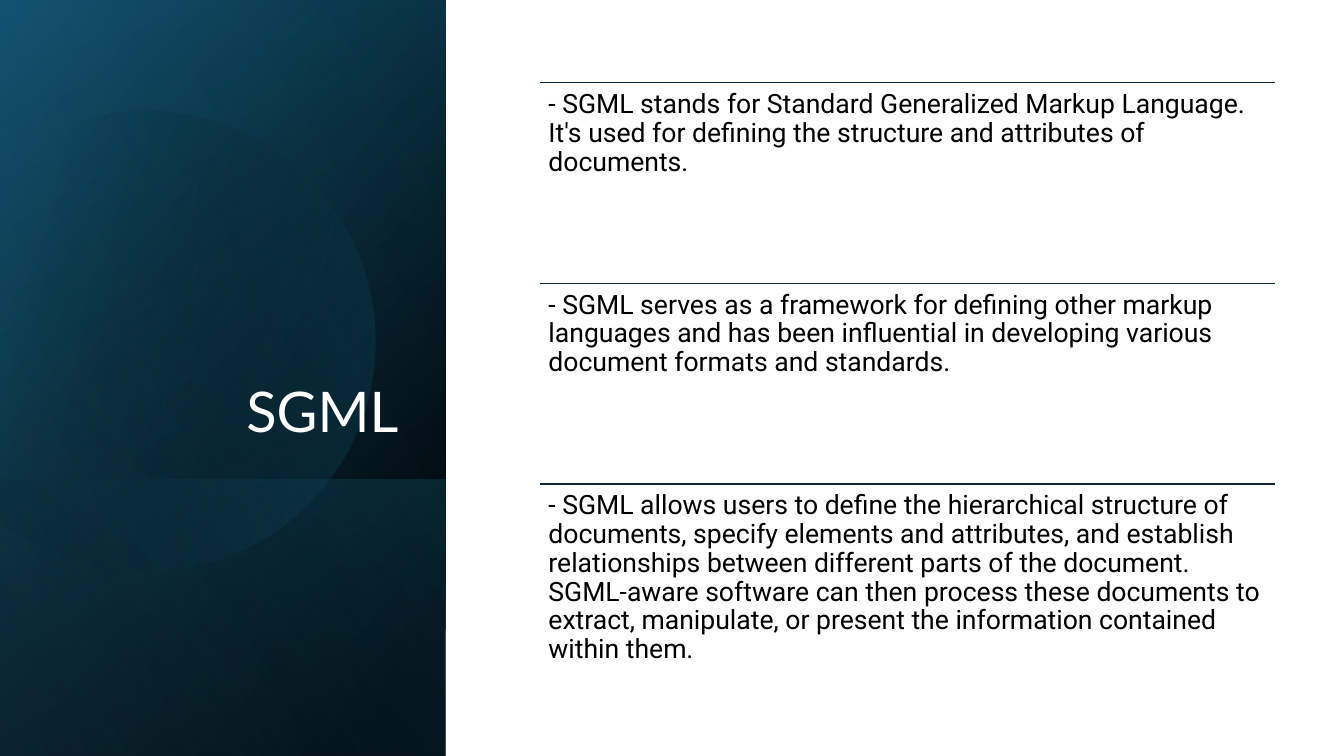
import math
from dataclasses import dataclass

from lxml import etree
from pptx import Presentation
from pptx import util as u
from pptx.dml.color import RGBColor
from pptx.enum import shapes, text
from pptx.oxml import ns

COLOURS = {
    "white": "FFFFFF",
    "black": "000000",
    "navy": "0E2841",
    "deep": "104862",
    "teal": "156082",
    "sky": "46B1E1",
}


@dataclass
class Stop:
    position: int
    colour: str
    opacity: int = 100


@dataclass
class Panel:
    left: float
    top: float
    width: float
    angle: int
    stops: list[Stop]
    height: float = 4.42


UNDER_PANELS = [
    Panel(-1.54, 1.54, 7.5, 50, [Stop(8, "black"), Stop(100, "deep")]),
    Panel(-1.54, 1.55, 7.5, 30, [Stop(0, "black", 0), Stop(99, "teal", 46)]),
    Panel(0.84, 3.92, 2.74, 130, [Stop(2, "teal", 29), Stop(100, "black", 30)]),
]
OVER_PANEL = Panel(-1.54, 1.54, 7.5, 120, [Stop(0, "black", 0), Stop(99, "sky", 11)])

# Disc outline as seen on the page: three points make a curve, one a straight edge
DISC = Panel(-0.55, 1.06, 4.27, 30, [Stop(29, "black", 0), Stop(100, "teal", 43)], 4.57)
DISC_ROTATION = 343.9
DISC_START = (1.49, 1.1)
DISC_SEGMENTS = [
    [(2.46, 1.12), (3.35, 1.77), (3.63, 2.75)],
    [(3.98, 3.97), (3.28, 5.23), (2.07, 5.58)],
    [(1.31, 5.8), (0.53, 5.61), (-0.03, 5.14)],
    [(-0.15, 5.03)],
    [(-0.15, 1.75)],
    [(0, 1.61)],
    [(0.23, 1.42), (0.5, 1.28), (0.8, 1.19)],
    [(1.03, 1.13), (1.26, 1.1), (1.49, 1.1)],
]

STATEMENTS = [
    "- SGML stands for Standard Generalized Markup Language. It's used for "
    "defining the structure and attributes of documents.",
    "- SGML serves as a framework for defining other markup languages and has "
    "been influential in developing various document formats and standards.",
    "- SGML allows users to define the hierarchical structure of documents, "
    "specify elements and attributes, and establish relationships between "
    "different parts of the document. SGML-aware software can then process "
    "these documents to extract, manipulate, or present the information "
    "contained within them.",
]
LIST_LEFT, LIST_TOP, LIST_WIDTH, ROW_HEIGHT = 5.36, 0.82, 7.29, 1.99


def rgb(name: str) -> RGBColor:
    return RGBColor.from_string(COLOURS[name])


def fill_gradient(shape, stops: list[Stop], angle: int) -> None:
    """Fill a shape with a linear gradient that may be partly transparent."""
    shape.shadow.inherit = False
    shape.line.fill.background()
    shape.fill.gradient()
    gradient = shape.element.spPr.find(ns.qn("a:gradFill"))
    gradient.find(ns.qn("a:lin")).set("ang", str(angle * 60000))
    stop_list = gradient.find(ns.qn("a:gsLst"))
    for old in list(stop_list):
        stop_list.remove(old)
    for stop in stops:
        mark = etree.SubElement(stop_list, ns.qn("a:gs"), pos=str(stop.position * 1000))
        colour = etree.SubElement(mark, ns.qn("a:srgbClr"), val=COLOURS[stop.colour])
        if stop.opacity < 100:
            etree.SubElement(colour, ns.qn("a:alpha"), val=str(stop.opacity * 1000))


def place(shape, panel: Panel) -> None:
    shape.left, shape.top = u.Inches(panel.left), u.Inches(panel.top)
    shape.width, shape.height = u.Inches(panel.width), u.Inches(panel.height)


def draw_panel(page, panel: Panel) -> None:
    shape = page.shapes.add_shape(shapes.MSO_SHAPE.RECTANGLE, 0, 0, 0, 0)
    place(shape, panel)
    shape.rotation = 90
    shape.element.spPr.find(ns.qn("a:xfrm")).set("flipH", "1")
    fill_gradient(shape, panel.stops, panel.angle)


def unrotate(point: tuple[float, float]) -> tuple[int, int]:
    """Turn a page point back into the disc's own frame."""
    turn = math.radians(-DISC_ROTATION)
    centre_x = DISC.left + DISC.width / 2
    centre_y = DISC.top + DISC.height / 2
    x, y = point[0] - centre_x, point[1] - centre_y
    return (
        u.Inches(centre_x + x * math.cos(turn) - y * math.sin(turn)),
        u.Inches(centre_y + x * math.sin(turn) + y * math.cos(turn)),
    )


def draw_disc(page) -> None:
    builder = page.shapes.build_freeform(*unrotate(DISC_START), scale=1.0)
    builder.add_line_segments(
        [unrotate(point) for segment in DISC_SEGMENTS for point in segment], close=True
    )
    disc = builder.convert_to_shape()

    # Measure the outline from the corner of the disc's frame
    outline = next(disc.element.iter(ns.qn("a:path")))
    shift_x = disc.left - u.Inches(DISC.left)
    shift_y = disc.top - u.Inches(DISC.top)
    for point in outline.iter(ns.qn("a:pt")):
        point.set("x", str(int(point.get("x")) + shift_x))
        point.set("y", str(int(point.get("y")) + shift_y))
    place(disc, DISC)
    outline.set("w", str(disc.width))
    outline.set("h", str(disc.height))

    # Join each three points into one curve
    edges = iter(outline.findall(ns.qn("a:lnTo")))
    for segment in DISC_SEGMENTS:
        parts = [next(edges) for _ in segment]
        if len(parts) == 3:
            curve = etree.Element(ns.qn("a:cubicBezTo"))
            parts[0].addprevious(curve)
            for part in parts:
                curve.append(part[0])
                outline.remove(part)
    disc.rotation = DISC_ROTATION
    fill_gradient(disc, DISC.stops, DISC.angle)


def add_span(para, words: str, font: str, size: int, colour: str) -> None:
    para.line_spacing = 0.9
    span = para.add_run()
    span.text = words
    span.font.name = font
    span.font.size = u.Pt(size)
    span.font.color.rgb = rgb(colour)


def draw_title(page) -> None:
    title = page.shapes.title
    place(title, Panel(0.64, 1.84, 3.41, 0, [], 2.62))
    frame = title.text_frame
    frame.auto_size = text.MSO_AUTO_SIZE.NONE
    frame.vertical_anchor = text.MSO_ANCHOR.BOTTOM
    para = frame.paragraphs[0]
    para.alignment = text.PP_ALIGN.RIGHT
    add_span(para, "SGML", "Lato", 40, "white")
    # Bring the title in front of the panels
    page.shapes.element.append(title.element)


def draw_statement(group, top: float, words: str) -> None:
    left, right = u.Inches(LIST_LEFT), u.Inches(LIST_LEFT + LIST_WIDTH)
    rule = group.shapes.add_connector(
        shapes.MSO_CONNECTOR.STRAIGHT, left, u.Inches(top), right, u.Inches(top)
    )
    rule.line.color.rgb = rgb("navy")
    rule.line.width = u.Pt(1)
    etree.SubElement(rule.element.spPr, ns.qn("a:effectLst"))

    box = group.shapes.add_textbox(
        left, u.Inches(top), u.Inches(LIST_WIDTH), u.Inches(ROW_HEIGHT)
    )
    frame = box.text_frame
    frame.word_wrap = True
    frame.margin_left = frame.margin_right = u.Inches(0.08)
    frame.margin_top = frame.margin_bottom = u.Inches(0.08)
    add_span(frame.paragraphs[0], words, "Roboto", 19, "black")


def main() -> None:
    deck = Presentation()
    deck.slide_width, deck.slide_height = u.Inches(13.33), u.Inches(7.5)
    page = deck.slides.add_slide(deck.slide_layouts.get_by_name("Title Only"))

    # Shaded side panel
    for panel in UNDER_PANELS:
        draw_panel(page, panel)
    draw_disc(page)
    draw_panel(page, OVER_PANEL)
    draw_title(page)

    # Ruled statements
    group = page.shapes.add_group_shape()
    for row, words in enumerate(STATEMENTS):
        draw_statement(group, LIST_TOP + row * ROW_HEIGHT, words)

    deck.save("out.pptx")


if __name__ == "__main__":
    main()
